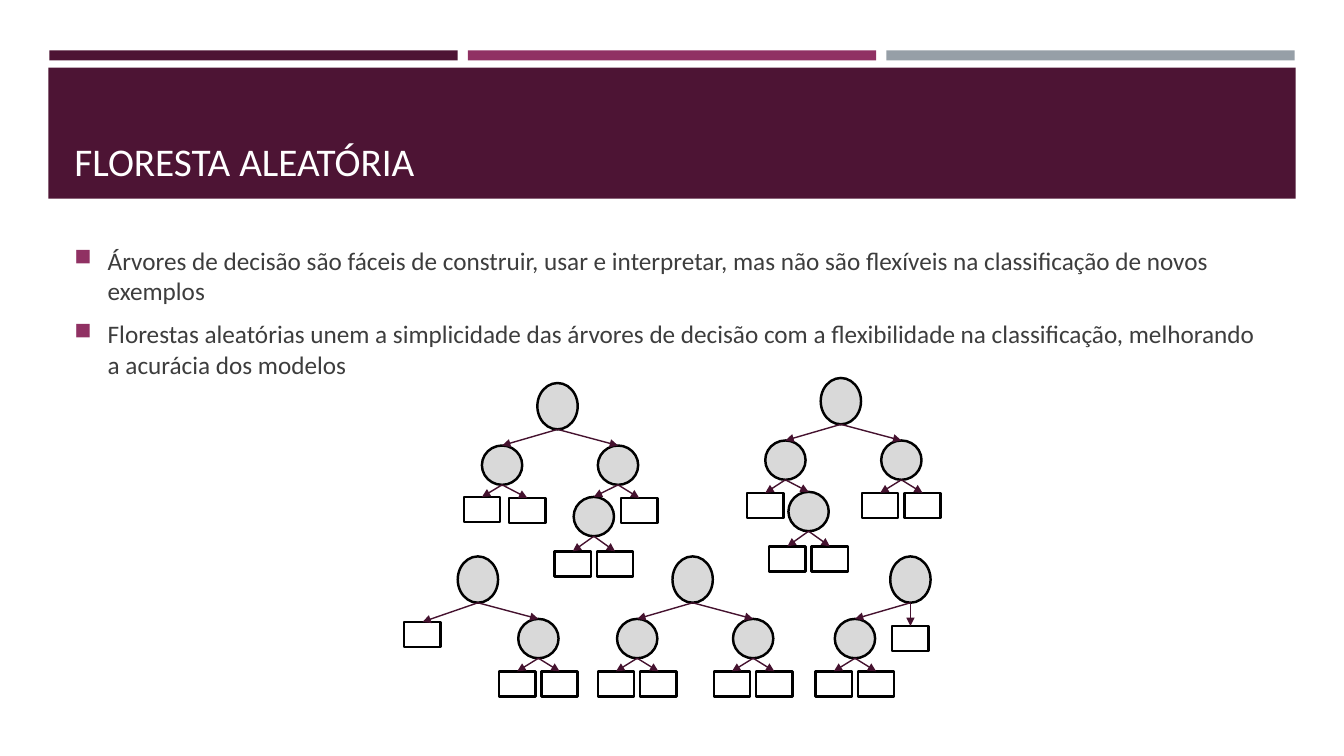
from dataclasses import dataclass

from lxml import etree
from pptx import Presentation
from pptx.dml.color import RGBColor
from pptx.enum.shapes import MSO_CONNECTOR, MSO_SHAPE
from pptx.enum.text import MSO_ANCHOR
from pptx.oxml.ns import qn
from pptx.util import Inches, Pt

RECTANGLE, OVAL = MSO_SHAPE.RECTANGLE, MSO_SHAPE.OVAL
STRAIGHT = MSO_CONNECTOR.STRAIGHT
TOP, BOTTOM = MSO_ANCHOR.TOP, MSO_ANCHOR.BOTTOM

FONT = "Calibri"
PLUM, MAGENTA, GRAY = "4D1434", "903163", "969FA7"
ARROW, NODE_FILL, NODE_LINE = "45122F", "D9D9D9", "000000"
TOP_SITE = 0

BULLETS = [
    "Árvores de decisão são fáceis de construir, usar e interpretar, "
    "mas não são flexíveis na classificação de novos exemplos",
    "Florestas aleatórias unem a simplicidade das árvores de decisão com a "
    "flexibilidade na classificação, melhorando a acurácia dos modelos",
]


@dataclass
class Node:
    """Tree node; dx and dy lead from the parent's top centre to its own."""
    geometry: int
    width: float
    height: float
    fill: str | None
    dx: float
    dy: float
    children: tuple = ()


def root(x, y, *children):
    return Node(OVAL, 0.4, 0.46, NODE_FILL, x, y, children)


def split(dx, dy, *children):
    return Node(OVAL, 0.4, 0.39, NODE_FILL, dx, dy, children)


def leaf(dx, dy):
    return Node(RECTANGLE, 0.36, 0.25, None, dx, dy)


def leaf_pair(dy=0.52):
    return leaf(-0.21, dy), leaf(0.21, dy)


FOREST = [
    root(4.74, 5.52, leaf(-0.55, 0.65), split(0.6, 0.62, *leaf_pair())),
    root(6.87, 5.52,
         split(-0.55, 0.62, *leaf_pair()),
         split(0.6, 0.62, *leaf_pair())),
    root(9.03, 5.52, split(-0.55, 0.62, *leaf_pair()), leaf(0, 0.69)),
    root(8.34, 3.75,
         split(-0.55, 0.62,
               leaf(-0.2, 0.52), split(0.23, 0.51, *leaf_pair(0.54))),
         split(0.6, 0.62, *leaf_pair())),
    root(5.53, 3.8,
         split(-0.55, 0.62, leaf(-0.2, 0.51), leaf(0.25, 0.52)),
         split(0.6, 0.62,
               split(-0.24, 0.51, *leaf_pair(0.54)), leaf(0.21, 0.52))),
]


def rgb(color):
    return RGBColor.from_string(color)


def add_shape(slide, geometry, left, top, width, height, fill=None, line=None):
    shape = slide.shapes.add_shape(
        geometry, Inches(left), Inches(top), Inches(width), Inches(height))
    shape.shadow.inherit = False
    if fill:
        shape.fill.solid()
        shape.fill.fore_color.rgb = rgb(fill)
    else:
        shape.fill.background()
    if line:
        shape.line.color.rgb = rgb(line)
        shape.line.width = Pt(1.75)
    else:
        shape.line.fill.background()
    return shape


def add_arrow(slide, start_x, start_y, end_x, end_y, target):
    connector = slide.shapes.add_connector(
        STRAIGHT, Inches(start_x), Inches(start_y), Inches(end_x), Inches(end_y))
    connector.end_connect(target, TOP_SITE)
    connector.line.color.rgb = rgb(ARROW)
    connector.line.width = Pt(1)
    line = connector.line._get_or_add_ln()
    etree.SubElement(line, qn("a:tailEnd"), type="triangle")
    etree.SubElement(connector._element.spPr, qn("a:effectLst"))


def add_bullet(paragraph, color):
    properties = paragraph._p.get_or_add_pPr()
    indent = Inches(0.33)
    properties.set("marL", str(indent))
    properties.set("indent", str(-indent))
    bullet_color = etree.SubElement(properties, qn("a:buClr"))
    etree.SubElement(bullet_color, qn("a:srgbClr"), val=color)
    etree.SubElement(properties, qn("a:buSzPct"), val="92000")
    etree.SubElement(properties, qn("a:buChar"), char="■")


def add_text(slide, texts, left, top, width, height, size, color,
             anchor=TOP, bullet_color=None, before=0, after=0):
    box = slide.shapes.add_textbox(
        Inches(left), Inches(top), Inches(width), Inches(height))
    frame = box.text_frame
    frame.word_wrap = True
    frame.vertical_anchor = anchor
    for index, text in enumerate(texts):
        paragraph = frame.add_paragraph() if index else frame.paragraphs[0]
        paragraph.space_before, paragraph.space_after = Pt(before), Pt(after)
        if bullet_color:
            add_bullet(paragraph, bullet_color)
        run = paragraph.add_run()
        run.text = text
        run.font.name = FONT
        run.font.size = Pt(size)
        run.font.color.rgb = rgb(color)


def add_tree(slide, node, parent_x=0, parent_y=0):
    """Draw a node and, below it, its subtrees with an arrow to each."""
    x, y = parent_x + node.dx, parent_y + node.dy
    shape = add_shape(slide, node.geometry, x - node.width / 2, y,
                      node.width, node.height, node.fill, NODE_LINE)
    for child in node.children:
        child_shape = add_tree(slide, child, x, y)
        add_arrow(slide, x, y + node.height, x + child.dx, y + child.dy,
                  child_shape)
    return shape


def add_header(slide):
    for index, color in enumerate((PLUM, MAGENTA, GRAY)):
        add_shape(slide, RECTANGLE, 0.49 + 4.15 * index, 0.5, 4.05, 0.1, color)
    add_shape(slide, RECTANGLE, 0.48, 0.67, 12.37, 1.3, PLUM)
    add_text(slide, ["FLORESTA ALEATÓRIA"], 0.64, 0.77, 12.06, 1.11,
             size=28, color="FFFFFF", anchor=BOTTOM)


def main():
    presentation = Presentation()
    presentation.slide_width = Inches(13.33)
    presentation.slide_height = Inches(7.5)
    slide = presentation.slides.add_slide(presentation.slide_layouts[6])
    add_header(slide)
    add_text(slide, BULLETS, 0.64, 2.38, 12.06, 4.02, size=18, color="3D3D3D",
             bullet_color=MAGENTA, before=3.6, after=6)
    for tree in FOREST:
        add_tree(slide, tree)
    presentation.save("out.pptx")


if __name__ == "__main__":
    main()
